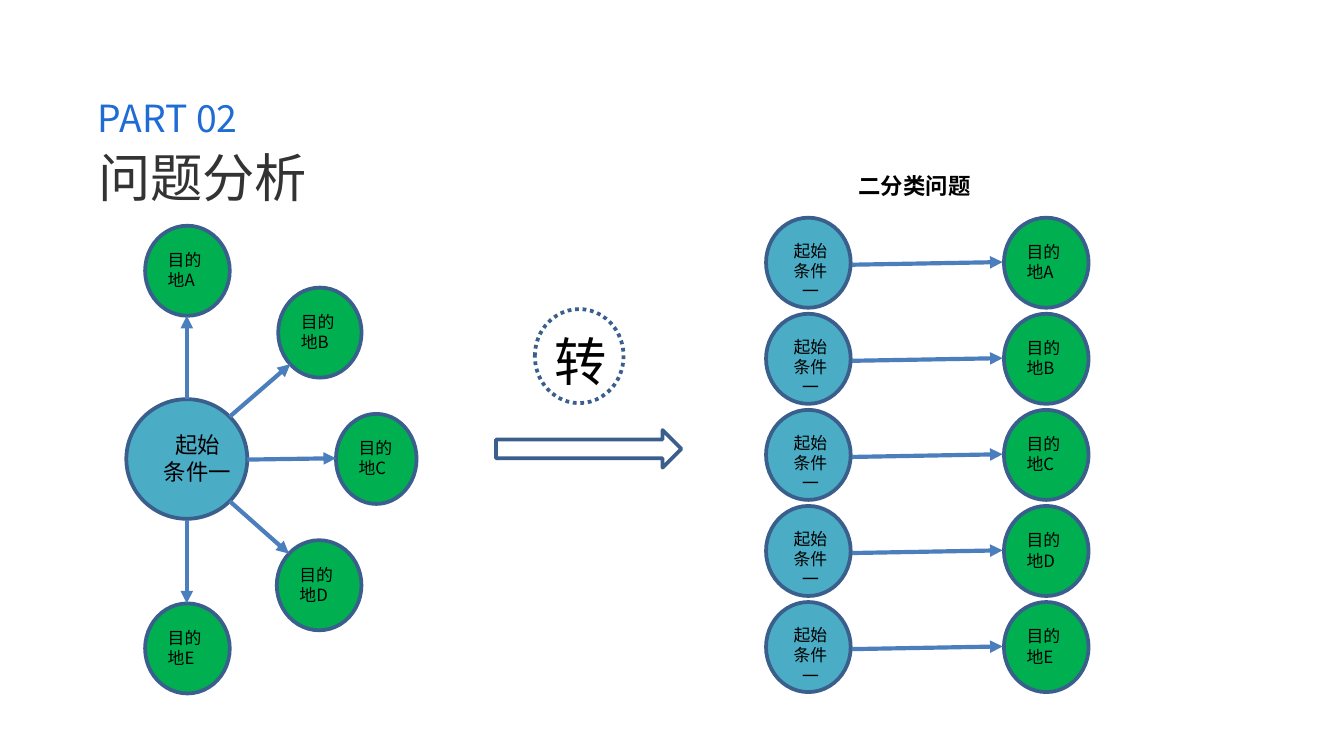
from lxml import etree
from pptx import Presentation
from pptx.dml.color import RGBColor
from pptx.enum.dml import MSO_LINE
from pptx.enum.shapes import MSO_CONNECTOR, MSO_SHAPE
from pptx.enum.text import MSO_ANCHOR, MSO_AUTO_SIZE, PP_ALIGN
from pptx.oxml.ns import qn
from pptx.util import Inches, Pt

OVAL = MSO_SHAPE.OVAL
RIGHT_ARROW = MSO_SHAPE.RIGHT_ARROW
STRAIGHT = MSO_CONNECTOR.STRAIGHT
DOTTED = MSO_LINE.ROUND_DOT
TOP = MSO_ANCHOR.TOP
GROW = MSO_AUTO_SIZE.SHAPE_TO_FIT_TEXT
LEFT, CENTER = PP_ALIGN.LEFT, PP_ALIGN.CENTER

FONT = "Noto Sans CJK SC"
COLORS = {
    "heading": "333333",
    "part": "1F6CD4",
    "text": "000000",
    "origin": "4BACC6",
    "destination": "00B050",
    "outline": "3A5F8C",
    "arrow": "4B7EBC",
}
ORIGIN_LINES = ["起始", "条件一"]
DESTINATIONS = "ABCDE"


def rgb(name):
    """Return the named palette colour."""
    return RGBColor.from_string(COLORS[name])


def write_text(shape, lines, size, color="text", align=LEFT, bold=False, wrap=True):
    """Fill a shape with evenly formatted paragraphs."""
    frame = shape.text_frame
    frame.text = "\n".join(lines)
    frame.word_wrap = wrap
    frame.auto_size = GROW
    frame.vertical_anchor = TOP
    for paragraph in frame.paragraphs:
        paragraph.alignment = align
        font = paragraph.font
        font.size = Pt(size)
        font.bold = bold
        font.color.rgb = rgb(color)
        font.name = FONT
        properties = paragraph._p.pPr.find(qn("a:defRPr"))
        etree.SubElement(properties, qn("a:ea"), typeface=FONT)


def add_text(slide, box, lines, size, **style):
    """Add a text box in the given box."""
    shape = slide.shapes.add_textbox(*map(Inches, box))
    write_text(shape, lines, size, **style)


def add_outlined(slide, kind, box, fill=None):
    """Add an outlined preset shape, optionally filled."""
    shape = slide.shapes.add_shape(kind, *map(Inches, box))
    shape.shadow.inherit = False
    if fill:
        shape.fill.solid()
        shape.fill.fore_color.rgb = rgb(fill)
    else:
        shape.fill.background()
    shape.line.color.rgb = rgb("outline")
    shape.line.width = Pt(2)
    return shape


def add_arrow(slide, start, end):
    """Draw a straight arrow between two points."""
    connector = slide.shapes.add_connector(STRAIGHT, *map(Inches, (*start, *end)))
    connector.line.color.rgb = rgb("arrow")
    connector.line.width = Pt(2.25)
    line = connector.line._get_or_add_ln()
    etree.SubElement(line, qn("a:tailEnd"), type="triangle")
    etree.SubElement(connector._element.spPr, qn("a:effectLst"))


def add_destination(slide, left, top, letter, width=0.63):
    """Add a green destination circle with its label."""
    add_outlined(slide, OVAL, (left, top, width, 0.67), "destination")
    add_text(slide, (left + 0.07, top + 0.13, 0.5, 0.4), [f"目的地{letter}"], 9)


def add_heading(slide, left, top):
    """Place the title and the part number above it."""
    title = slide.shapes.title
    title.left, title.top = Inches(left), Inches(top + 0.37)
    title.width, title.height = Inches(1.77), Inches(0.57)
    write_text(title, ["问题分析"], 28, color="heading", wrap=False)
    add_text(slide, (left, top, 1.3, 0.44), ["PART 02"], 20, color="part", wrap=False)


def add_fan(slide, left, top):
    """Draw one origin leading to five destinations."""
    add_outlined(slide, OVAL, (left, top + 1.29, 0.9, 0.89), "origin")
    add_text(slide, (left + 0.16, top + 1.48, 0.74, 0.5), ORIGIN_LINES, 12, align=CENTER)
    branches = [
        ((0.14, 0), 0.63, (0.45, 1.29), (0.45, 0.67)),
        ((1.13, 0.46), 0.62, (0.77, 1.42), (1.22, 1.03)),
        ((1.56, 1.4), 0.6, (0.9, 1.74), (1.56, 1.73)),
        ((1.12, 2.34), 0.63, (0.77, 2.05), (1.21, 2.44)),
        ((0.14, 2.81), 0.63, (0.45, 2.19), (0.45, 2.81)),
    ]
    for letter, ((x, y), width, start, end) in zip(DESTINATIONS, branches):
        add_destination(slide, left + x, top + y, letter, width)
        add_arrow(
            slide,
            (left + start[0], top + start[1]),
            (left + end[0], top + end[1]),
        )


def add_transition(slide, left, top):
    """Draw the conversion badge and the block arrow below it."""
    add_outlined(slide, RIGHT_ARROW, (left, top + 0.9, 1.38, 0.28))
    badge = add_outlined(slide, OVAL, (left + 0.29, top, 0.66, 0.7))
    badge.line.dash_style = DOTTED
    add_text(slide, (left + 0.34, top + 0.1, 0.4, 0.57), ["转"], 28)


def add_pairs(slide, left, top, last_top):
    """Draw evenly spaced origin-to-destination pairs under their heading."""
    add_text(slide, (left + 0.59, top - 0.39, 1.41, 0.3), ["二分类问题"], 12, bold=True)
    pitch = (last_top - top) / (len(DESTINATIONS) - 1)
    for index, letter in enumerate(DESTINATIONS):
        row = top + index * pitch
        add_outlined(slide, OVAL, (left, row, 0.63, 0.67), "origin")
        add_text(slide, (left + 0.07, row + 0.12, 0.52, 0.56), ORIGIN_LINES, 9, align=CENTER)
        add_destination(slide, left + 1.77, row, letter)
        add_arrow(slide, (left + 0.64, row + 0.35), (left + 1.76, row + 0.33))


def main():
    """Build and save the slide."""
    presentation = Presentation()
    presentation.slide_width = Inches(10)
    presentation.slide_height = presentation.slide_width * 9 // 16
    slide = presentation.slides.add_slide(presentation.slide_layouts[5])
    add_heading(slide, 0.63, 0.66)
    add_fan(slide, 0.94, 1.68)
    add_transition(slide, 3.69, 2.3)
    add_pairs(slide, 5.7, 1.62, 4.48)
    presentation.save("out.pptx")


if __name__ == "__main__":
    main()
